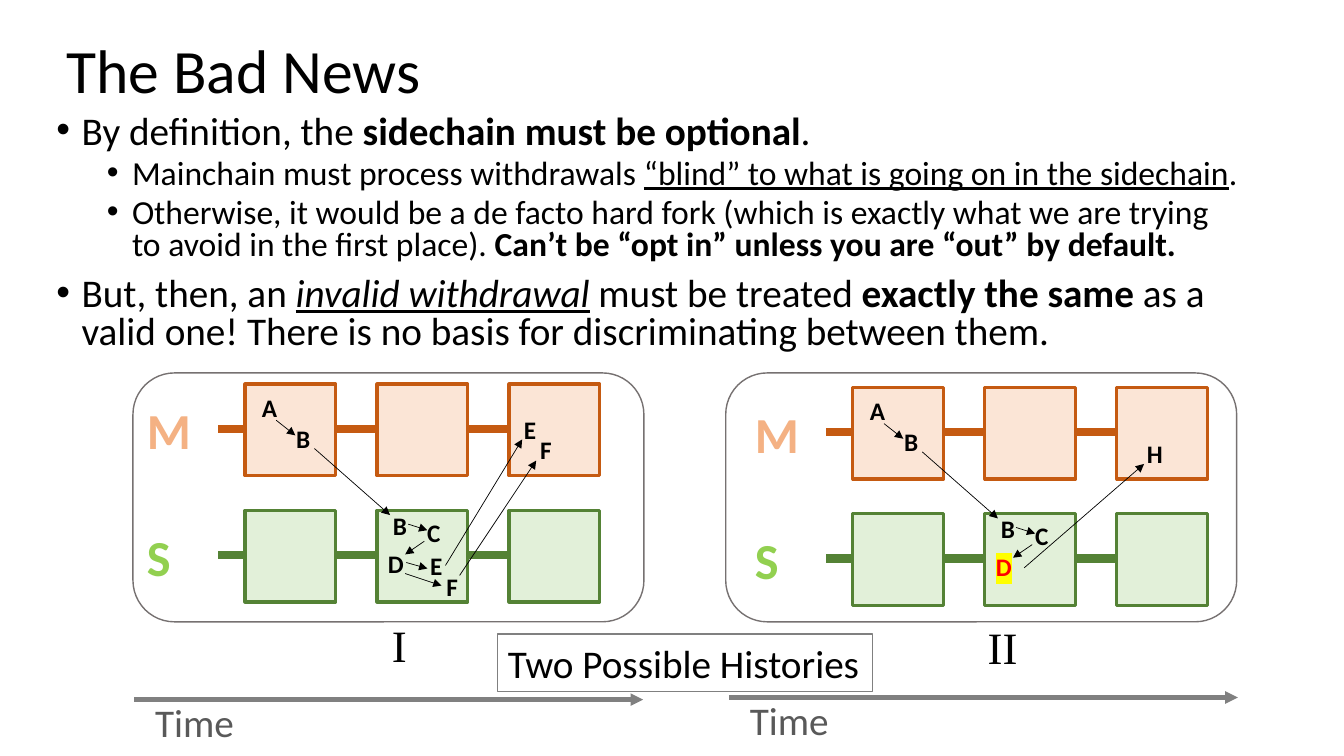
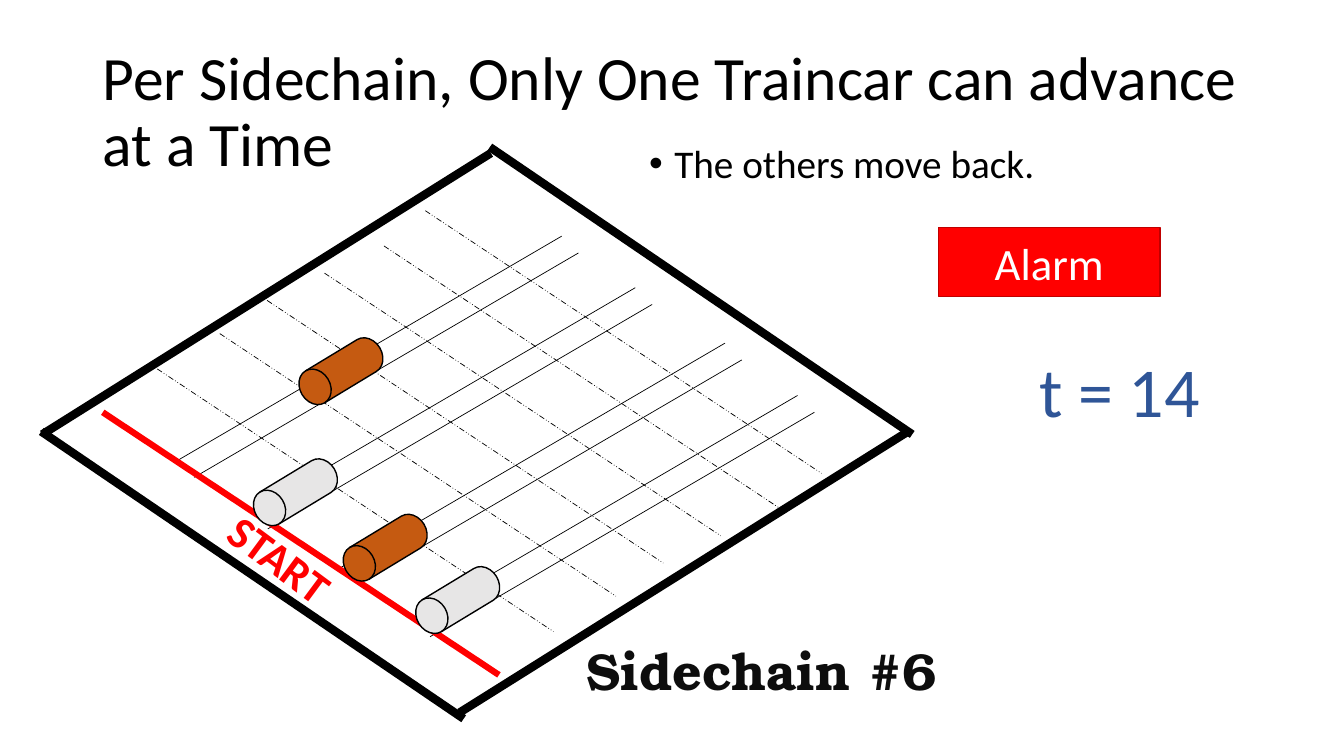
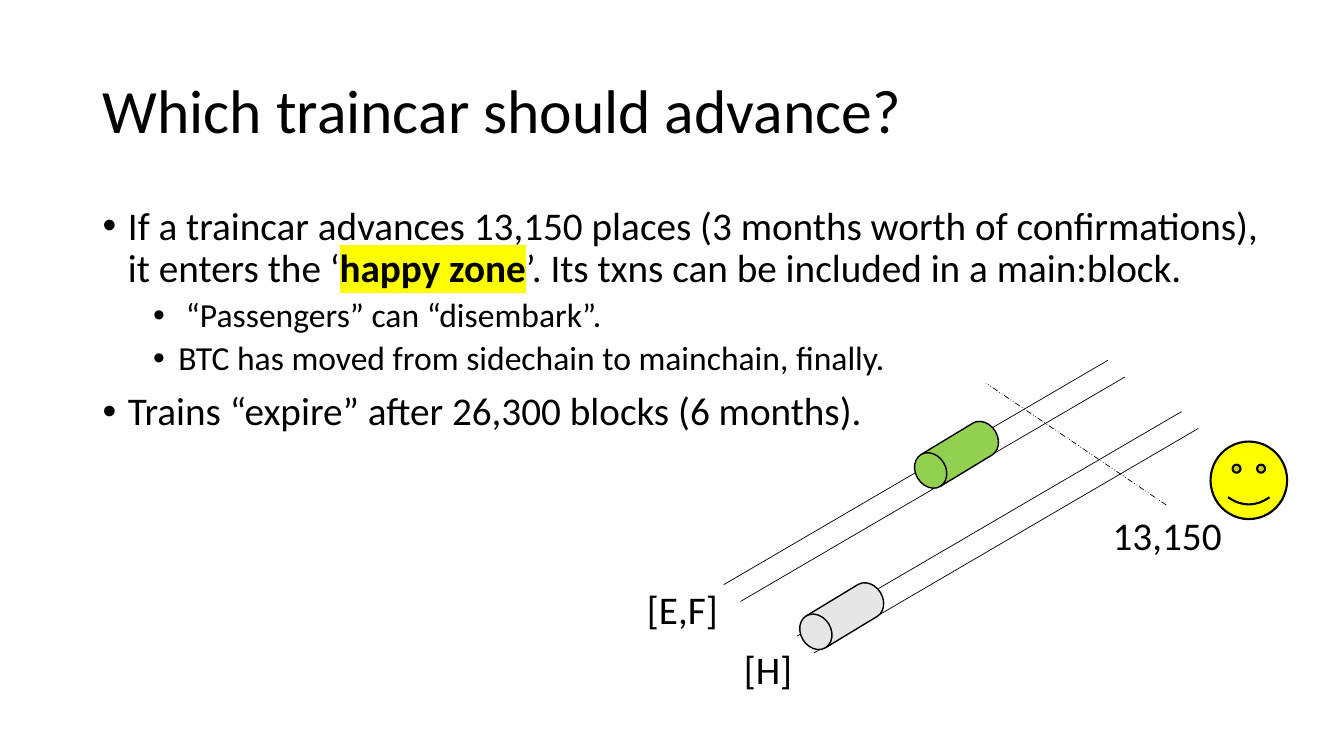
from lxml import etree
from pptx import Presentation
from pptx.dml.color import RGBColor
from pptx.enum.dml import MSO_LINE
from pptx.enum.shapes import MSO_CONNECTOR, MSO_SHAPE
from pptx.enum.text import MSO_ANCHOR, MSO_AUTO_SIZE, PP_ALIGN
from pptx.oxml.ns import qn
from pptx.util import Pt

STRAIGHT = MSO_CONNECTOR.STRAIGHT
RECT, ROUNDED = MSO_SHAPE.RECTANGLE, MSO_SHAPE.ROUNDED_RECTANGLE
DRUM, SMILEY = MSO_SHAPE.FLOWCHART_DIRECT_ACCESS_STORAGE, MSO_SHAPE.SMILEY_FACE
DASHED = MSO_LINE.DASH_DOT_DOT
LEFT, CENTER = PP_ALIGN.LEFT, PP_ALIGN.CENTER
TOP, MIDDLE = MSO_ANCHOR.TOP, MSO_ANCHOR.MIDDLE

COLORS = {
    "black": "000000", "white": "FFFFFF", "red": "FF0000", "dark red": "C00000",
    "yellow": "FFFF00", "lime": "92D050", "light gray": "E7E6E6", "blue": "2F5597",
    "orange": "C55A11", "pale orange": "FBE5D6", "soft orange": "F4B183",
    "green": "548235", "pale green": "E2F0D9", "ink": "0D0D0D",
    "panel gray": "767171", "gray": "808080", "dark gray": "595959",
}

# ---- Content: a list item is (level, runs); a run is text or (text, marks) ----
BAD_NEWS = [
    (0, ["By definition, the ", ("sidechain must be optional", "b"), "."]),
    (1, ["Mainchain must process withdrawals ",
         ("“blind” to what is going on in the sidechain", "u"), "."]),
    (1, ["Otherwise, it would be a de facto hard fork (which is exactly what we are "
         "trying to avoid in the first place). ",
         ("Can’t be “opt in” unless you are “out” by default.", "b")]),
    (0, ["But, then, an ", ("invalid withdrawal", "iu"), " must be treated ",
         ("exactly the same ", "b"),
         "as a valid one! There is no basis for discriminating between them."]),
]
OTHERS = [(0, ["The others move back."])]
ADVANCE = [
    (0, ["If a traincar advances 13,150 places (3 months worth of confirmations), "
         "it enters the ‘", ("happy zone", "bh"),
         "’. Its txns can be included in a main:block."]),
    (1, [" “Passengers” can “disembark”."]),
    (1, ["BTC has moved from sidechain to mainchain, finally."]),
    (0, ["Trains “expire” after 26,300 blocks (6 months)."]),
]

# Chains: letter, letter colour, block top, line colour, block fill
CHAINS = [("M", "soft orange", 274.3, "orange", "pale orange"),
          ("S", "lime", 364.5, "green", "pale green")]
# Transactions (label, x, y) and the arrows between them, placed for history I
SHARED_TXNS = [("A", 180, 276.5), ("B", 204.5, 298.8), ("B", 273.6, 360.7),
               ("C", 298.1, 365.8)]
SHARED_ARROWS = [(197.3, 300.2, 211, 311), (224.6, 320.4, 278.6, 367.9),
                 (291.6, 374.4, 305.3, 378.7), (303.1, 386.6, 289.4, 396)]
HISTORIES = [
    dict(numeral="I", shift=(0, 0), panel_x=95, numeral_at=(272.9, 437.8, 26),
         time_at=(95.8, 499.7), d_style=dict(),
         txns=[("E", 300.2, 389.5), ("F", 311.8, 404.6),
               ("E", 367.2, 292.3), ("F", 378.7, 306.7)],
         arrows=[(290.2, 401.8, 305.3, 406.1), (289.4, 409.7, 315.4, 418.3),
                 (318.2, 403.9, 373, 313.9), (328.3, 411.1, 383, 329)]),
    dict(numeral="II", shift=(434.2, 2.4), panel_x=518.4,
         numeral_at=(698.4, 439.2, 37.5), time_at=(520.6, 498.2),
         d_style=dict(color="red", marks="bh"),
         txns=[("H", 378, 307.4)], arrows=[(297.4, 403.2, 383, 329)]),
]

# Tracks: start x, start y, car colour, share of the track travelled
YARD_TRACKS = [(126.7, 329, "orange", 0.31), (179.3, 365.8, "light gray", 0),
               (243.4, 405.4, "orange", 0), (295.2, 442.8, "light gray", 0)]
EXIT_TRACKS = [(517, 417.6, "lime", 0.49), (569.5, 454.3, "light gray", 0)]
TRACK_RUN, RAIL_GAP = (274.5, -160.3), 12
CROSS_RUN = (283, 187.6)
CROSS_STARTS = [(112.3, 263.5), (157, 238.3), (190.8, 214.6), (231.8, 195.1),
                (274.3, 175.7), (303.8, 150.5)]
YARD_EDGES = [(651.6, 310.3, 349.9, 105.1), (328.3, 509, 648.7, 308.2),
              (30.2, 310.3, 350.6, 109.4), (331.2, 513.4, 29.5, 308.2)]


# ---- Helpers ----
def rgb(name):
    return RGBColor.from_string(COLORS[name])


def place(shape, x, y, w, h):
    shape.left, shape.top, shape.width, shape.height = Pt(x), Pt(y), Pt(w), Pt(h)


def write(paragraph, runs, size=28, color="black", font="Calibri", marks="",
          align=LEFT, spacing=None, before=None):
    paragraph.alignment = align
    if spacing:
        paragraph.line_spacing = spacing
    if before is not None:
        paragraph.space_before = Pt(before)
    for item in runs:
        words, run_marks = (item, marks) if isinstance(item, str) else item
        run = paragraph.add_run()
        run.text = words
        run.font.size, run.font.name = Pt(size), font
        run.font.color.rgb = rgb(color)
        run.font.bold = "b" in run_marks
        run.font.italic = "i" in run_marks
        run.font.underline = "u" in run_marks
        if "h" in run_marks:
            highlight = etree.Element(qn("a:highlight"))
            etree.SubElement(highlight, qn("a:srgbClr")).set("val", COLORS["yellow"])
            run.font._element.find(qn("a:solidFill")).addnext(highlight)


def label(slide, words, x, y, w, h, wrap=False, turn=0, **style):
    box = slide.shapes.add_textbox(Pt(x), Pt(y), Pt(w), Pt(h))
    box.rotation = turn
    box.text_frame.word_wrap = wrap
    write(box.text_frame.paragraphs[0], [words], **style)


def block(slide, kind, x, y, w, h, fill=None, line="black", width=1.0, turn=0):
    shape = slide.shapes.add_shape(kind, Pt(x), Pt(y), Pt(w), Pt(h))
    shape.shadow.inherit = False
    shape.rotation = turn
    if fill:
        shape.fill.solid()
        shape.fill.fore_color.rgb = rgb(fill)
    else:
        shape.fill.background()
    shape.line.color.rgb = rgb(line)
    shape.line.width = Pt(width)
    return shape


def rule(slide, x1, y1, x2, y2, color="black", width=0.5, dash=None, arrow=False):
    line = slide.shapes.add_connector(STRAIGHT, Pt(x1), Pt(y1), Pt(x2), Pt(y2))
    line.line.color.rgb = rgb(color)
    line.line.width = Pt(width)
    if dash:
        line.line.dash_style = dash
    if arrow:
        tip = etree.SubElement(line.line._get_or_add_ln(), qn("a:tailEnd"))
        tip.set("type", "triangle")
    etree.SubElement(line._element.spPr, qn("a:effectLst"))


def add_slide(deck, title, items, body_at, title_at=(66.2, 28.8), spacing=0.9):
    slide = deck.slides.add_slide(deck.slide_layouts[1])
    heading, body = slide.shapes.title, slide.placeholders[1]
    place(heading, *title_at, 828, 104.4)
    place(body, *body_at)
    for holder, anchor in ((heading, MIDDLE), (body, TOP)):
        holder.text_frame.auto_size = MSO_AUTO_SIZE.NONE
        holder.text_frame.vertical_anchor = anchor
    write(heading.text_frame.paragraphs[0], [title], size=44, spacing=0.9, before=0)
    for i, (level, runs) in enumerate(items):
        frame = body.text_frame
        paragraph = frame.add_paragraph() if i else frame.paragraphs[0]
        paragraph.level = level
        write(paragraph, runs, size=24 if level else 28, spacing=spacing,
              before=5 if level else 10)
        props = paragraph._p.get_or_add_pPr()
        props.set("marL", str(Pt(54 if level else 18)))
        props.set("indent", str(Pt(-18)))
        etree.SubElement(props, qn("a:buFont")).set("typeface", "Arial")
        etree.SubElement(props, qn("a:buChar")).set("char", "•")
    return slide


def draw_history(slide, numeral, shift, panel_x, numeral_at, time_at, d_style,
                 txns, arrows):
    dx, dy = shift
    for letter, tint, top, edge, fill in CHAINS:
        middle = top + dy + 32
        rule(slide, 156 + dx, middle, 371.3 + dx, middle, color=edge, width=6)
        for i in range(3):
            block(slide, RECT, 175 + 94.3 * i + dx, top + dy, 64.8, 65.5,
                  fill=fill, line=edge, width=2.25)
        label(slide, letter, 97.9 + dx, top + dy + 7.5, 46 if letter == "M" else 32,
              51, size=36, color=tint, marks="b")
    for name, x, y in SHARED_TXNS + txns:
        label(slide, name, x + dx, y + dy, 25, 29, size=18, marks="b")
    label(slide, "D", 270 + dx, 388.1 + dy, 26.5, 29,
          **{"size": 18, "marks": "b", **d_style})
    for x1, y1, x2, y2 in SHARED_ARROWS + arrows:
        rule(slide, x1 + dx, y1 + dy, x2 + dx, y2 + dy, arrow=True)
    block(slide, ROUNDED, panel_x, 266.4, 365, 177.8, line="panel gray")
    x, y, width = numeral_at
    label(slide, numeral, x, y, width, 46, size=32, font="Times New Roman")
    x, y = time_at
    rule(slide, x, y, x + 363.6, y, color="gray", width=3, arrow=True)
    label(slide, "Time", x + 7.9, y - 4.3, 71.3, 41, color="dark gray")


def draw_tracks(slide, tracks):
    run_x, run_y = TRACK_RUN
    for x, y, _, _ in tracks:
        for gap in (0, RAIL_GAP):
            rule(slide, x + gap, y + gap, x + gap + run_x, y + gap + run_y)


def draw_cars(slide, tracks):
    run_x, run_y = TRACK_RUN
    for x, y, tint, travelled in tracks:
        block(slide, DRUM, x - 0.7 + travelled * run_x, y - 27.5 + travelled * run_y,
              64.8, 26.6, fill=tint, turn=148.8)


# ---- Slides ----
def histories_slide(deck):
    slide = add_slide(deck, "The Bad News", BAD_NEWS, (33.1, 78.5, 861.8, 194.4),
                      title_at=(40.3, 0), spacing=0.8)
    for history in HISTORIES:
        draw_history(slide, **history)
    caption = block(slide, RECT, 355.7, 452.9, 267.8, 41, line="gray", width=0.75)
    caption.text_frame.word_wrap = False
    caption.text_frame.vertical_anchor = TOP
    write(caption.text_frame.paragraphs[0], ["Two Possible Histories"])


def yard_slide(deck):
    slide = add_slide(deck, "Per Sidechain, Only One Traincar can advance at a Time",
                      OTHERS, (456.5, 99.4, 316, 44.6))
    draw_tracks(slide, YARD_TRACKS)
    run_x, run_y = CROSS_RUN
    rule(slide, 73.4, 294.5, 73.4 + run_x, 294.5 + run_y, color="red", width=4.5)
    for x, y in CROSS_STARTS:
        rule(slide, x, y, x + run_x, y + run_y, dash=DASHED)
    draw_cars(slide, YARD_TRACKS)
    for edge in YARD_EDGES:
        rule(slide, *edge, width=6)
    label(slide, "START", 152.6, 376.6, 96.5, 46, turn=36.5, size=32, color="red",
          marks="b")
    label(slide, "Sidechain #6", 411.8, 461.5, 316, 44.6, wrap=True, size=37,
          color="ink", font="TeX Gyre Bonum", marks="b", spacing=0.8, before=10)
    label(slide, "t = 14", 735.1, 251.3, 134, 62, wrap=True, size=50, color="blue",
          spacing=0.9, before=10)
    alarm = block(slide, RECT, 670.3, 162.7, 158.4, 49, fill="red", line="dark red")
    alarm.text_frame.vertical_anchor = MIDDLE
    write(alarm.text_frame.paragraphs[0], ["Alarm"], size=32, color="white",
          align=CENTER)


def exit_slide(deck):
    slide = add_slide(deck, "Which traincar should advance?", ADVANCE,
                      (66.2, 144, 842.4, 342.7))
    draw_tracks(slide, EXIT_TRACKS)
    label(slide, "[E,F]", 455, 414.7, 65.5, 41)
    label(slide, "[H]", 524.2, 457.2, 49.7, 41, wrap=True)
    draw_cars(slide, EXIT_TRACKS)
    rule(slide, 833, 360.7, 704.2, 273.6, dash=DASHED)
    label(slide, "13,150", 787.7, 361.4, 98, 41, wrap=True)
    block(slide, SMILEY, 864.7, 315.4, 54.7, 55.4, fill="yellow", width=1.5)


def main():
    deck = Presentation()
    deck.slide_width, deck.slide_height = Pt(960), Pt(540)
    histories_slide(deck)
    yard_slide(deck)
    exit_slide(deck)
    deck.save("out.pptx")


if __name__ == "__main__":
    main()
